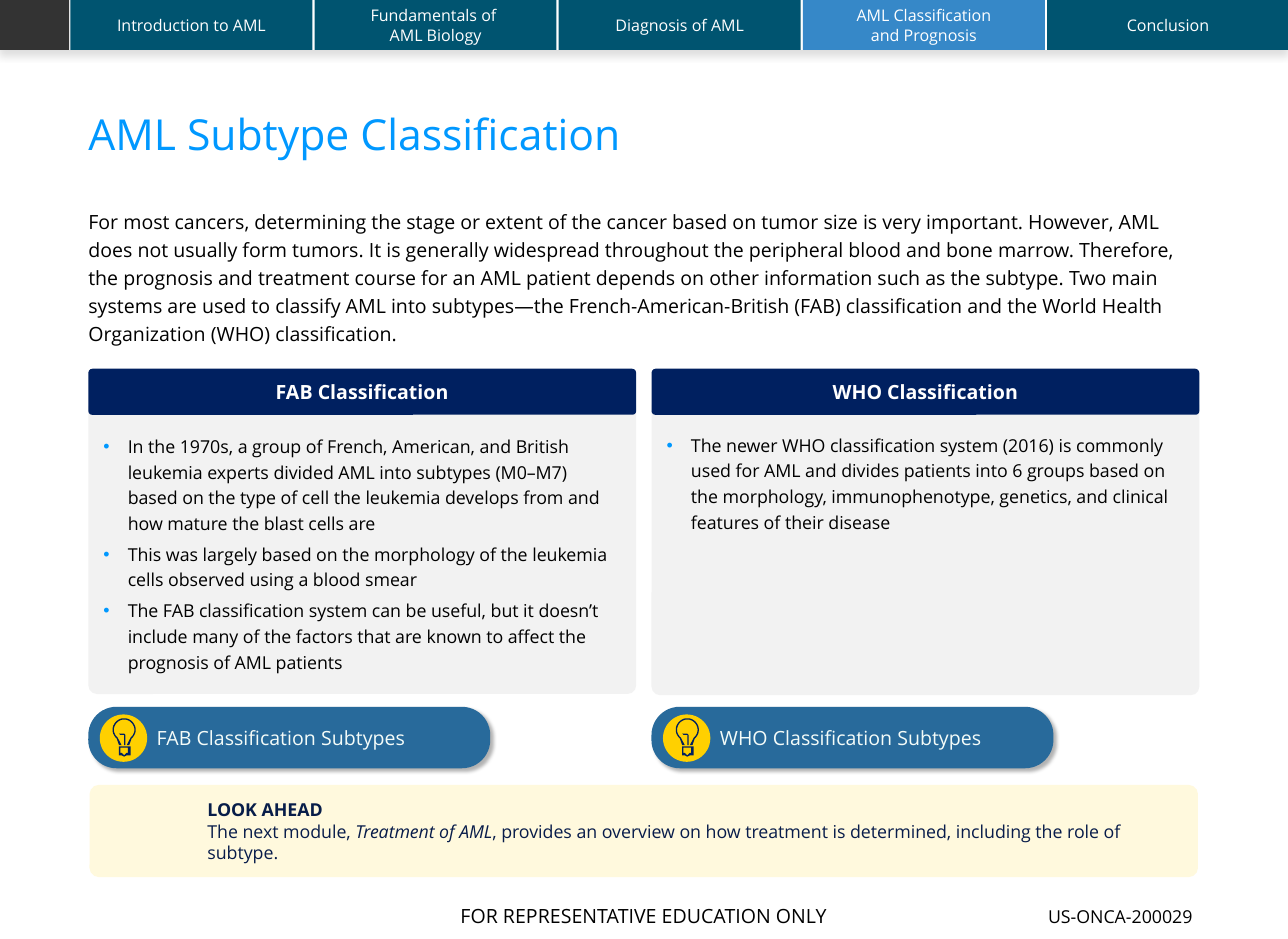
"""Build the AML subtype classification slide."""
from math import cos, radians, sin

from lxml import etree
from pptx import Presentation
from pptx.dml.color import RGBColor
from pptx.enum.shapes import MSO_SHAPE as Shape
from pptx.enum.text import MSO_ANCHOR as Anchor, MSO_AUTO_SIZE as AutoSize, PP_ALIGN as Align
from pptx.oxml import parse_xml
from pptx.oxml.ns import nsdecls, qn
from pptx.util import Inches, Pt

COLORS = {
    "white": "FFFFFF", "black": "000000", "tab": "005470", "active": "3688C8",
    "corner": "333333", "accent": "0098FF", "panel": "F2F2F2", "navy": "002060",
    "cream": "FFF9DD", "ink": "071D49", "body ink": "081C4A", "button": "286A9B",
    "label": "F4FCF9", "yellow": "FFD000",
}


def block(parent, kind, box, fill, corners=(), shadow=None):
    shape = parent.add_shape(kind, *map(Inches, box))
    shape.shadow.inherit = False
    shape.fill.solid()
    shape.fill.fore_color.rgb = RGBColor.from_string(COLORS[fill])
    shape.line.fill.background()
    for index, corner in enumerate(corners):
        shape.adjustments[index] = corner
    if shadow:
        alpha, blur, distance, angle = shadow
        effects = shape._element.spPr.find(qn("a:effectLst"))
        effects.append(parse_xml(
            f'<a:outerShdw {nsdecls("a")} blurRad="{Pt(blur)}" dist="{Pt(distance)}" '
            f'dir="{angle * 60000}" algn="ctr" rotWithShape="0"><a:srgbClr val="{COLORS["black"]}">'
            f'<a:alpha val="{alpha * 1000}"/></a:srgbClr></a:outerShdw>'))
    return shape


def write(shape, lines, size, color, align=Align.LEFT, anchor=Anchor.MIDDLE,
          margins=(0, 0, 0, 0), bold=False, spacing=None):
    frame = shape.text_frame
    frame.word_wrap = True
    frame.auto_size = AutoSize.NONE
    frame.vertical_anchor = anchor
    frame.margin_left, frame.margin_top, frame.margin_right, frame.margin_bottom = map(Inches, margins)
    frame.text = "\n".join(lines)
    for paragraph in frame.paragraphs:
        paragraph.alignment = align
        paragraph.line_spacing = spacing
        for run in paragraph.runs:
            run.font.name = "Open Sans"
            run.font.size = Pt(size)
            run.font.bold = bold
            run.font.color.rgb = RGBColor.from_string(COLORS[color])
    return frame


presentation = Presentation()
presentation.slide_width = Inches(161 / 16)
presentation.slide_height = Inches(22 / 3)
presentation.element.sldSz.attrib.pop("type", None)
slide = presentation.slides.add_slide(presentation.slide_layouts[5])
shapes = slide.shapes

footer = block(shapes, Shape.RECTANGLE, (0, 6.97, 10.06, 0.36), "white")
write(footer, ["FOR REPRESENTATIVE EDUCATION ONLY"], 11, "black", Align.CENTER)
code = shapes.add_textbox(*map(Inches, (8.08, 7.07, 1.38, 0.17)))
write(code, ["US-ONCA-200029 "], 10, "black", Align.CENTER, Anchor.TOP)

block(shapes, Shape.RECTANGLE, (0, 0, 10.06, 0.39), "white", shadow=(13, 4, 3, 90))
block(shapes, Shape.RECTANGLE, (0, 0, 0.54, 0.39), "corner")
chapters = ["Introduction to AML", "Fundamentals of \vAML Biology", "Diagnosis of AML",
            "AML Classification\vand Prognosis", "Conclusion"]
for index, chapter in enumerate(chapters):
    tab = block(shapes, Shape.RECTANGLE, (0.55 + index * 7.63 / 4, 0, 1.89, 0.39),
                "active" if index == 3 else "tab")
    write(tab, [chapter], 9, "white", Align.CENTER)

title = shapes.title
title.left, title.top, title.width, title.height = map(Inches, (0.69, 0.89, 8.67, 0.36))
write(title, ["AML Subtype Classification"], 24, "accent", spacing=0.9)

intro = shapes.add_textbox(*map(Inches, (0.69, 1.6, 8.67, 1.71)))
write(intro, [
    "For most cancers, determining the stage or extent of the cancer based on tumor size is very "
    "important. However, AML does not usually form tumors. It is generally widespread throughout "
    "the peripheral blood and bone marrow. Therefore, the prognosis and treatment course for an "
    "AML patient depends on other information such as the subtype. Two main systems are used to "
    "classify AML into subtypes—the French-American-British (FAB) classification and the World "
    "Health Organization (WHO) classification."], 11, "black", anchor=Anchor.TOP, spacing=1.2)

systems = [
    ("FAB", 0.69, 3.17, 2.25, [
        "In the 1970s, a group of French, American, and British leukemia experts divided AML into "
        "subtypes (M0–M7) based on the type of cell the leukemia develops from and how mature the "
        "blast cells are",
        "This was largely based on the morphology of the leukemia cells observed using a blood smear",
        "The FAB classification system can be useful, but it doesn’t include many of the factors "
        "that are known to affect the prognosis of AML patients"]),
    ("WHO", 5.09, 3.16, 2.27, [
        "The newer WHO classification system (2016) is commonly used for AML and divides patients "
        "into 6 groups based on the morphology, immunophenotype, genetics, and clinical features "
        "of their disease"]),
]
for system, left, top, height, points in systems:
    panel = block(shapes, Shape.ROUND_2_SAME_RECTANGLE, (left, top, 4.28, height), "panel", (0, 0.03))
    details = write(panel, points, 10, "black", anchor=Anchor.TOP,
                    margins=(0.1, 0.2, 0.1, 0.05), spacing=1.2)
    for index, point in enumerate(details.paragraphs):
        point.space_before = Pt(3 if index else 0)
        properties = point._p.get_or_add_pPr()
        properties.set("marL", str(Inches(0.19)))
        properties.set("indent", str(-Inches(0.19)))
        bullet_color = etree.SubElement(properties, qn("a:buClr"))
        etree.SubElement(bullet_color, qn("a:srgbClr"), val=COLORS["accent"])
        etree.SubElement(properties, qn("a:buFont"), typeface="Arial")
        etree.SubElement(properties, qn("a:buChar"), char="•")

    header = block(shapes, Shape.ROUND_2_SAME_RECTANGLE, (left, 2.88, 4.28, 0.36), "navy", (0.09, 0.08))
    write(header, [f"{system} Classification"], 11, "white", Align.CENTER,
          margins=(0.1, 0.1, 0.1, 0.1), bold=True)

    button = shapes.add_group_shape().shapes
    pill = block(button, Shape.ROUNDED_RECTANGLE, (left, 5.52, 3.14, 0.48), "button", (0.46,),
                 shadow=(30, 2, 2, 45))
    write(pill, [f"{system} Classification Subtypes"], 11, "label", margins=(0.47, 0, 0, 0))
    block(button, Shape.OVAL, (left + 0.09, 5.58, 0.37, 0.37), "yellow")

    center = left + 0.28
    angles = [radians(angle) for angle in range(50, -231, -10)]
    outer = [(0.09 * cos(angle), 5.7 + 0.09 * sin(angle)) for angle in angles]
    inner = [(0.08 * cos(angle), 5.7 + 0.08 * sin(angle)) for angle in reversed(angles)]
    contours = [
        [(0.04, 5.82), *outer, (-0.04, 5.82), (-0.02, 5.82), *inner, (0.02, 5.82)],
        [(-0.04, 5.83), (0.05, 5.83), (0.05, 5.9), (0.02, 5.9), (0, 5.91), (-0.02, 5.9), (-0.04, 5.9)],
        [(-0.03, 5.84), (-0.03, 5.88), (-0.02, 5.88), (0, 5.9), (0.02, 5.88), (0.03, 5.88), (0.03, 5.84)],
        [(-0.04, 5.73), (0, 5.73), (0.01, 5.74), (0.01, 5.82), (0, 5.82), (0, 5.74), (-0.03, 5.74)],
    ]
    outlines = [[((center + x) * 1000, y * 1000) for x, y in contour] for contour in contours]
    bulb_builder = button.build_freeform(*outlines[0][0], scale=Inches(1) / 1000)
    for index, outline in enumerate(outlines):
        if index:
            bulb_builder.move_to(*outline[0])
        bulb_builder.add_line_segments(outline[1:], close=True)
    bulb = bulb_builder.convert_to_shape()
    bulb.shadow.inherit = False
    bulb.fill.solid()
    bulb.fill.fore_color.rgb = RGBColor.from_string(COLORS["navy"])
    bulb.line.fill.background()

look_ahead = block(shapes, Shape.ROUNDED_RECTANGLE, (0.7, 6.13, 8.66, 0.72), "cream", (0.1,))
notice = write(look_ahead, ["LOOK AHEAD", ""], 10, "ink", margins=(0.9, 0.1, 0.2, 0.1), bold=True)
for text, italic in [("The next module, ", False), ("Treatment of AML", True),
                     (", provides an overview on how treatment is determined, including the "
                      "role of subtype.", False)]:
    run = notice.paragraphs[1].add_run()
    run.text = text
    run.font.name = "Open Sans"
    run.font.size = Pt(10)
    run.font.italic = italic
    run.font.color.rgb = RGBColor.from_string(COLORS["body ink"])

presentation.save("out.pptx")
